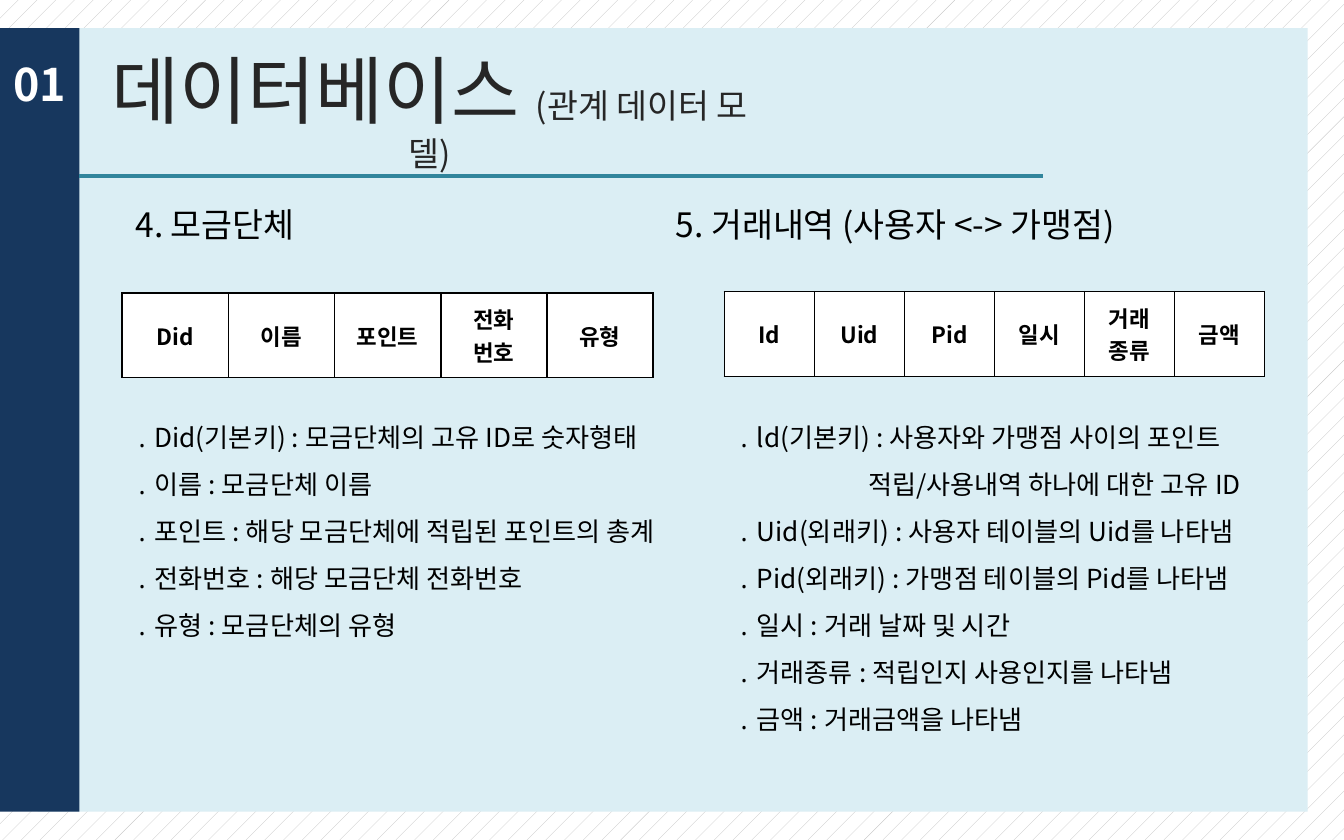
from lxml.etree import SubElement
from pptx import Presentation
from pptx.dml.color import RGBColor
from pptx.enum.dml import MSO_PATTERN
from pptx.enum.shapes import MSO_CONNECTOR, MSO_SHAPE
from pptx.enum.text import MSO_ANCHOR, PP_ALIGN
from pptx.oxml import parse_xml
from pptx.oxml.ns import nsdecls, qn
from pptx.util import Inches, Pt

FONT = "Noto Sans CJK KR"


def color(value):
    return RGBColor.from_string(value)


def format_text(frame, size, value="000000", bold=False):
    for para in frame.paragraphs:
        for span in para.runs:
            span.font.name = FONT
            span.font.size = Pt(size)
            span.font.bold = bold
            span.font.color.rgb = color(value)
            SubElement(span.font._element, qn("a:ea"), typeface=FONT)


deck = Presentation()
deck.slide_width = Inches(10)
deck.slide_height = Inches(6.25)
page = deck.slides.add_slide(deck.slide_layouts[6])
backdrop = page.background.fill
backdrop.patterned()
backdrop.pattern = MSO_PATTERN.PERCENT_5
backdrop.fore_color.rgb = color("BFBFBF")
backdrop.back_color.rgb = color("FFFFFF")

for left, width, fill in [(0.28, 9.45, "DBEEF4"), (0, 0.59, "17375E")]:
    panel = page.shapes.add_shape(
        MSO_SHAPE.RECTANGLE, Inches(left), Inches(0.21), Inches(width), Inches(5.83)
    )
    panel.shadow.inherit = False
    panel.fill.solid()
    panel.fill.fore_color.rgb = color(fill)
    panel.line.fill.background()

rule = page.shapes.add_connector(
    MSO_CONNECTOR.STRAIGHT, Inches(0.59), Inches(1.31), Inches(7.76), Inches(1.31)
)
rule.line.color.rgb = color("31859C")
rule.line.width = Pt(2.25)
SubElement(rule._element.spPr, qn("a:effectLst"))

number = page.shapes.add_textbox(Inches(0), Inches(0.37), Inches(0.67), Inches(0.5))
number.text_frame.word_wrap = True
number.text_frame.text = "01"
format_text(number.text_frame, 24, "FFFFFF", True)

title = page.shapes.add_textbox(Inches(0.59), Inches(0.29), Inches(5.21), Inches(1.04))
title.text_frame.word_wrap = True
title.text_frame.vertical_anchor = MSO_ANCHOR.MIDDLE
para = title.text_frame.paragraphs[0]
para.alignment = PP_ALIGN.CENTER
for text in ["데이터베이스 ", "(관계 데이터 모델)"]:
    para.add_run().text = text
format_text(title.text_frame, 39.6, "262626")
para.runs[1].font.size = Pt(18)

headings = page.shapes.add_textbox(Inches(0.91), Inches(1.47), Inches(8.27), Inches(0.71))
headings.text_frame.word_wrap = True
headings.text_frame.text = "4. 모금단체\t5. 거래내역 (사용자 <-> 가맹점)"
tabs = SubElement(headings.text_frame.paragraphs[0]._p.get_or_add_pPr(), qn("a:tabLst"))
SubElement(tabs, qn("a:tab"), pos=str(Inches(4.02)), algn="l")
format_text(headings.text_frame, 18)

tables = [
    (0.91, 2.18, 0.79, ["Did", "이름", "포인트", "전화\n번호", "유형"]),
    (5.39, 2.17, 0.67, ["Id", "Uid", "Pid", "일시", "거래\n종류", "금액"]),
]
for left, top, column_width, names in tables:
    table = page.shapes.add_table(
        1, len(names), Inches(left), Inches(top),
        Inches(column_width * len(names)), Inches(0.63),
    ).table
    for column, name in enumerate(names):
        table.columns[column].width = Inches(column_width)
        cell = table.cell(0, column)
        cell.fill.solid()
        cell.fill.fore_color.rgb = color("FFFFFF")
        cell.vertical_anchor = MSO_ANCHOR.MIDDLE
        cell.text_frame.text = name
        for para in cell.text_frame.paragraphs:
            para.alignment = PP_ALIGN.CENTER
        format_text(cell.text_frame, 12, bold=True)
        for position, side in enumerate(["lnL", "lnR", "lnT", "lnB"]):
            border = parse_xml(
                f'<a:{side} {nsdecls("a")} w="{Pt(1)}"><a:solidFill>'
                f'<a:srgbClr val="000000"/></a:solidFill></a:{side}>'
            )
            cell._tc.get_or_add_tcPr().insert(position, border)

descriptions = [
    (0.91, 1.87, [
        "․ Did(기본키) : 모금단체의 고유 ID로 숫자형태",
        "․ 이름 : 모금단체 이름",
        "․ 포인트 : 해당 모금단체에 적립된 포인트의 총계",
        "․ 전화번호 : 해당 모금단체 전화번호",
        "․ 유형 : 모금단체의 유형",
    ]),
    (5.39, 2.57, [
        "․ ld(기본키) : 사용자와 가맹점 사이의 포인트",
        "적립/사용내역 하나에 대한 고유 ID",
        "․ Uid(외래키) : 사용자 테이블의 Uid를 나타냄",
        "․ Pid(외래키) : 가맹점 테이블의 Pid를 나타냄",
        "․ 일시 : 거래 날짜 및 시간",
        "․ 거래종류 : 적립인지 사용인지를 나타냄",
        "․ 금액 : 거래금액을 나타냄",
    ]),
]
for left, height, lines in descriptions:
    box = page.shapes.add_textbox(Inches(left), Inches(2.97), Inches(5.28), Inches(height))
    box.text_frame.word_wrap = True
    box.text_frame.text = "\n".join(lines)
    for para in box.text_frame.paragraphs:
        para.line_spacing = 1.5
        if not para.text.startswith("․"):
            para._p.get_or_add_pPr().set("marL", str(Inches(0.97)))
    format_text(box.text_frame, 14)

deck.save("out.pptx")
